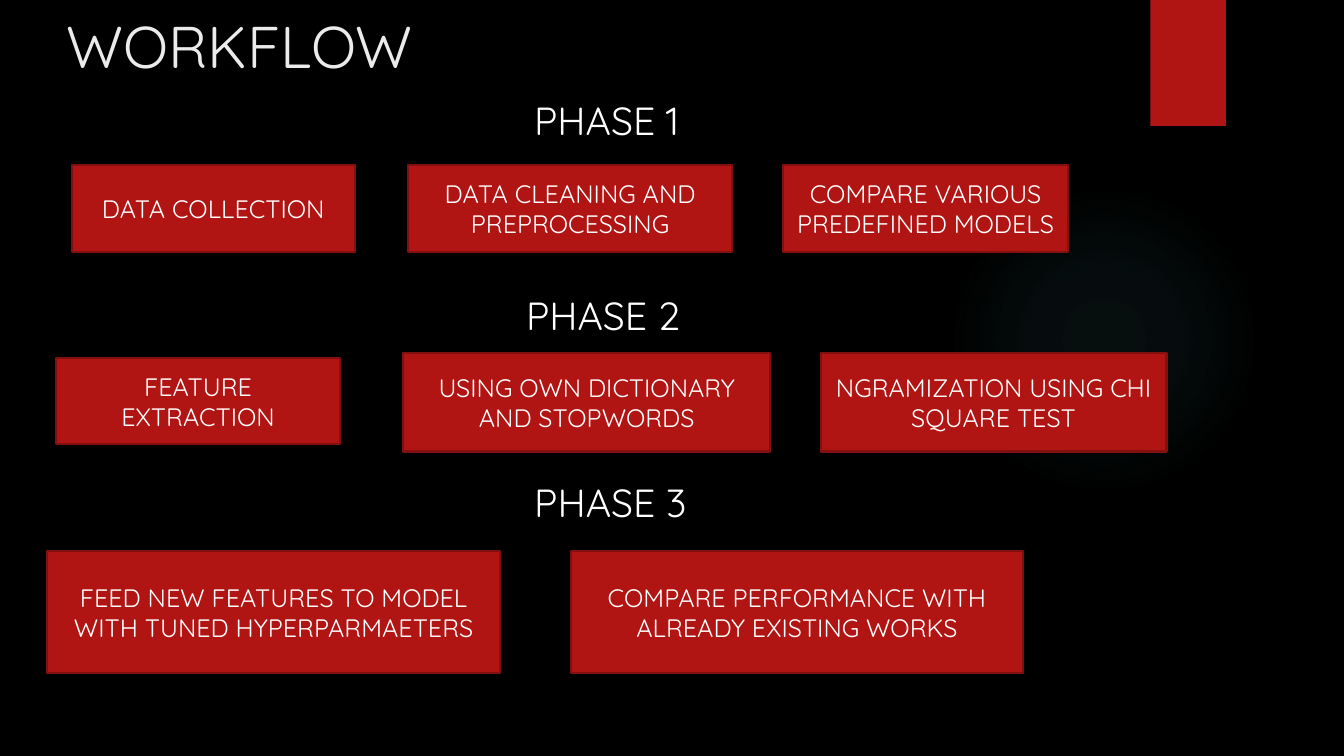
import dataclasses

import lxml.etree
import pptx
import pptx.dml.color
import pptx.enum.shapes
import pptx.enum.text
import pptx.oxml
import pptx.oxml.ns
import pptx.util

Inches = pptx.util.Inches
Pt = pptx.util.Pt
Color = pptx.dml.color.RGBColor.from_string
Shape = pptx.enum.shapes.MSO_SHAPE
Align = pptx.enum.text.PP_ALIGN
Anchor = pptx.enum.text.MSO_ANCHOR
AutoSize = pptx.enum.text.MSO_AUTO_SIZE


@dataclasses.dataclass(frozen=True)
class Theme:
    font: str = "Quicksand"
    background: str = "000000"
    accent: str = "B01513"
    border: str = "82100E"
    glow: str = "50B9C1"
    title: str = "EBEBEB"
    text: str = "FFFFFF"
    title_size: int = 42
    phase_size: int = 28
    step_size: int = 18
    border_width: float = 1.5


THEME = Theme()

GLOW_STOPS = ((0, 7), (36, 6), (69, 0))

PHASES = (
    ("PHASE 1", (5.2, 0.91, 3.7, 0.57), (
        ("DATA COLLECTION", (0.71, 1.64, 2.81, 0.86)),
        ("DATA CLEANING AND PREPROCESSING", (4.05, 1.64, 3.21, 0.86)),
        ("COMPARE VARIOUS PREDEFINED MODELS", (7.77, 1.64, 2.82, 0.86)),
    )),
    ("PHASE 2", (5.12, 2.84, 1.93, 0.57), (
        ("FEATURE EXTRACTION", (0.56, 3.55, 2.81, 0.86)),
        ("USING OWN DICTIONARY AND STOPWORDS", (4, 3.5, 3.64, 0.98)),
        ("NGRAMIZATION USING CHI SQUARE TEST", (8.14, 3.5, 3.43, 0.98)),
    )),
    ("PHASE 3", (5.2, 4.7, 1.85, 0.57), (
        ("FEED NEW FEATURES TO MODEL WITH TUNED HYPERPARMAETERS", (0.47, 5.47, 4.49, 1.21)),
        ("COMPARE PERFORMANCE WITH ALREADY EXISTING WORKS", (5.66, 5.47, 4.49, 1.21)),
    )),
)


def apply_format(target, values):
    for name, value in values.items():
        setattr(target, name, value)


def place(area):
    return [Inches(length) for length in area]


def write_text(shape, text, size, color, align, frame_format):
    frame = shape.text_frame
    apply_format(frame, {"word_wrap": True, **frame_format})
    para = frame.paragraphs[0]
    para.alignment = align
    span = para.add_run()
    span.text = text
    apply_format(span.font, {"name": THEME.font, "size": Pt(size)})
    span.font.color.rgb = Color(color)


def add_block(page, kind, area):
    block = page.shapes.add_shape(kind, *place(area))
    block.shadow.inherit = False
    block.fill.solid()
    block.fill.fore_color.rgb = Color(THEME.accent)
    block.line.fill.background()
    return block


def add_glow(page, area):
    glow = add_block(page, Shape.OVAL, area)
    stops = "".join(
        f'<a:gs pos="{position * 1000}"><a:srgbClr val="{THEME.glow}">'
        f'<a:alpha val="{opacity * 1000}"/></a:srgbClr></a:gs>'
        for position, opacity in GLOW_STOPS
    )
    gradient = pptx.oxml.parse_xml(
        f'<a:gradFill {pptx.oxml.ns.nsdecls("a")}><a:gsLst>{stops}</a:gsLst>'
        '<a:path path="circle"><a:fillToRect l="50000" t="50000" r="50000" b="50000"/>'
        '</a:path></a:gradFill>'
    )
    properties = glow.element.spPr
    properties.replace(properties.find(pptx.oxml.ns.qn("a:solidFill")), gradient)


def add_title(page, text, area):
    title = page.shapes.title
    apply_format(title, dict(zip(("left", "top", "width", "height"), place(area))))
    write_text(title, text, THEME.title_size, THEME.title, Align.LEFT,
               {"vertical_anchor": Anchor.TOP, "auto_size": AutoSize.NONE})


def add_phase(page, text, area):
    box = page.shapes.add_textbox(*place(area))
    write_text(box, text, THEME.phase_size, THEME.text, Align.LEFT,
               {"auto_size": AutoSize.SHAPE_TO_FIT_TEXT})


def add_step(page, text, area):
    step = add_block(page, Shape.RECTANGLE, area)
    step.line.color.rgb = Color(THEME.border)
    step.line.width = Pt(THEME.border_width)
    write_text(step, text, THEME.step_size, THEME.text, Align.CENTER,
               {"vertical_anchor": Anchor.MIDDLE})


def main():
    deck = pptx.Presentation()
    apply_format(deck, {"slide_width": Inches(13.33), "slide_height": Inches(7.5)})
    page = deck.slides.add_slide(deck.slide_layouts.get_by_name("Title Only"))
    page.background.fill.solid()
    page.background.fill.fore_color.rgb = Color(THEME.background)
    add_glow(page, (9.41, 1.83, 3.08, 3.08))
    add_block(page, Shape.RECTANGLE, (11.41, 0, 0.75, 1.25))
    add_title(page, "WORKFLOW", (0.56, 0.05, 10.29, 1.53))
    for heading, heading_area, steps in PHASES:
        add_phase(page, heading, heading_area)
        for text, area in steps:
            add_step(page, text, area)
    deck.save("out.pptx")


if __name__ == "__main__":
    main()
